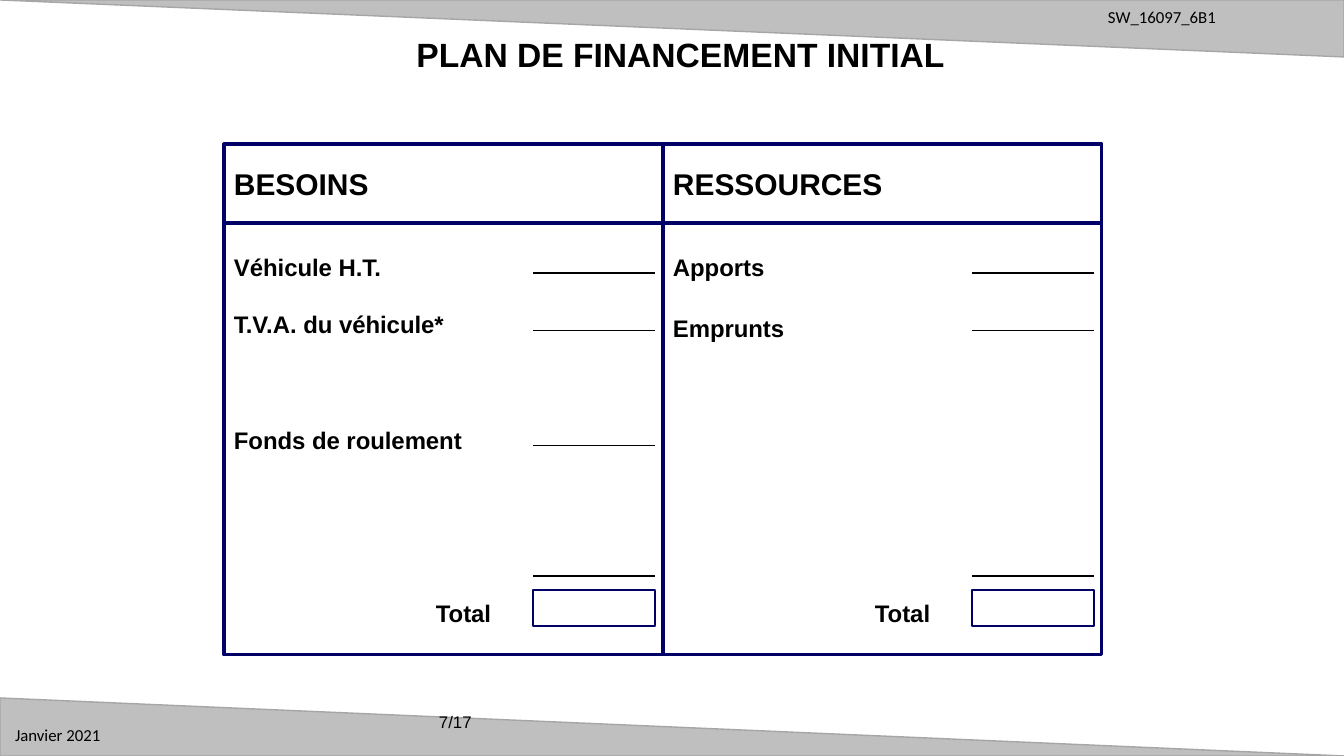
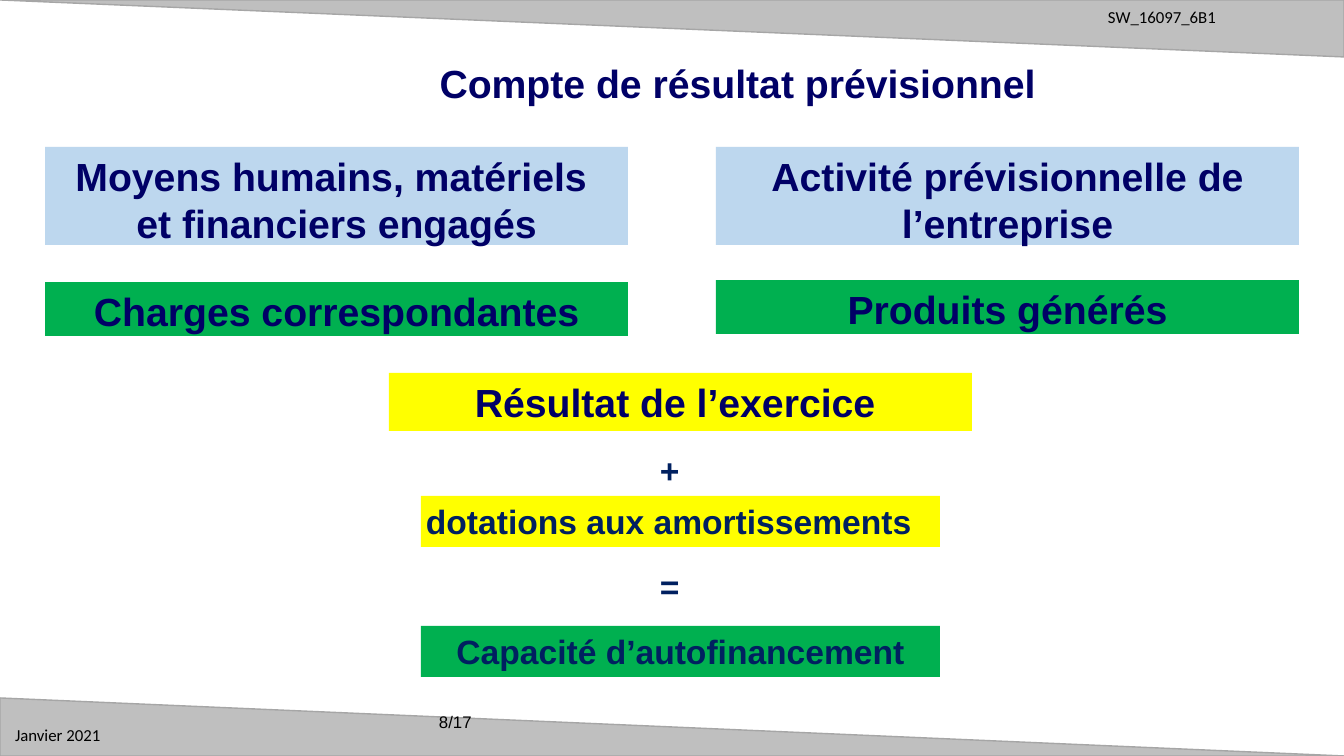
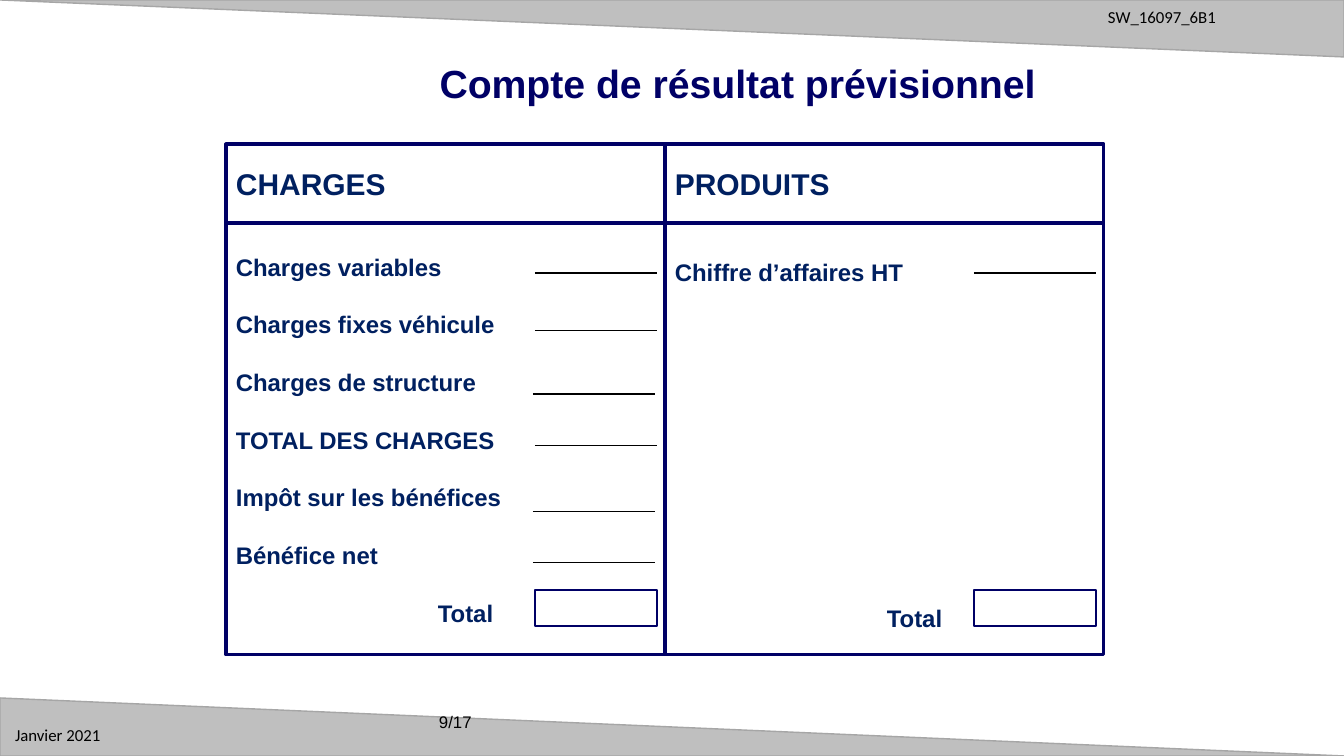
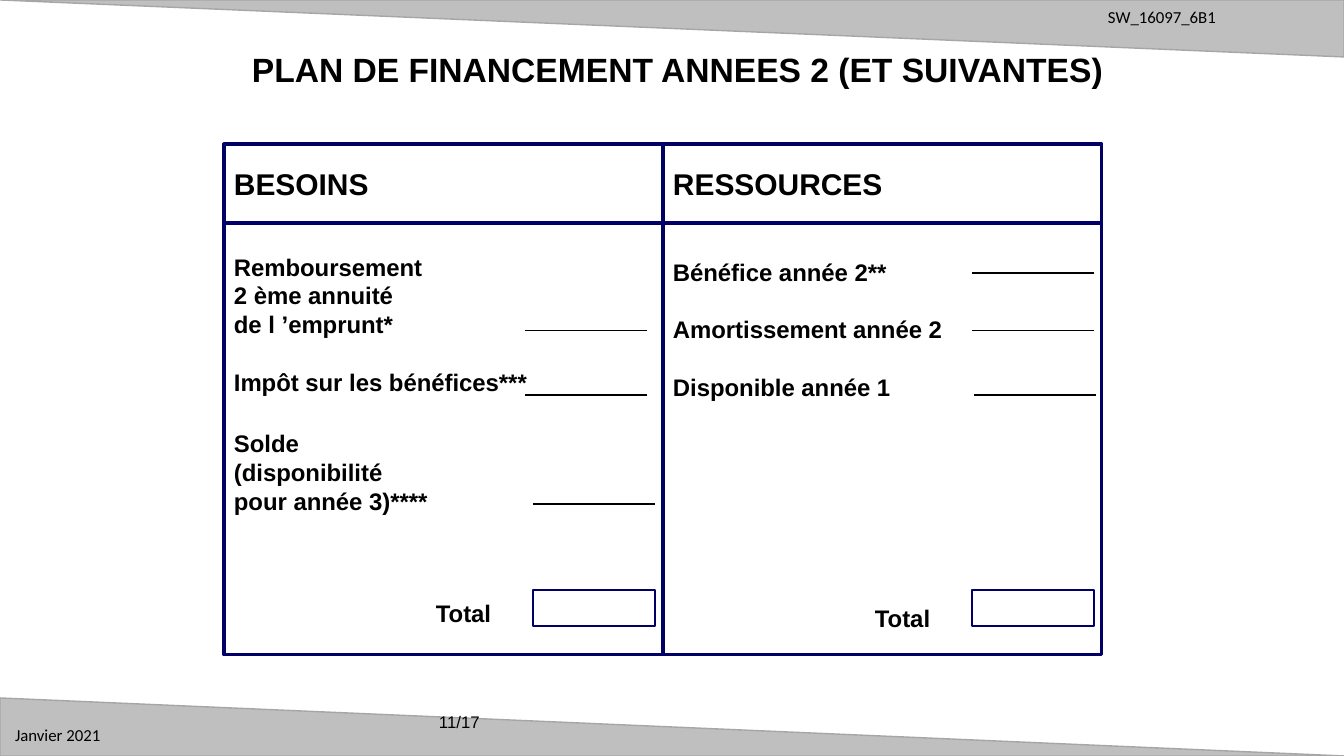
import pptx
import pptx.util
import pptx.dml.color
import pptx.enum.shapes
import pptx.enum.text
import pptx.oxml.ns
import lxml.etree

RGB = pptx.dml.color.RGBColor
Pt = pptx.util.Pt
ALIGN = pptx.enum.text.PP_ALIGN
ANCHOR = pptx.enum.text.MSO_ANCHOR
RECT = pptx.enum.shapes.MSO_SHAPE.RECTANGLE
STRAIGHT = pptx.enum.shapes.MSO_CONNECTOR.STRAIGHT

PX = 914400 / 100.8  # EMU in one px

BLACK = RGB(0x00, 0x00, 0x00)
WHITE = RGB(0xFF, 0xFF, 0xFF)
NAVY = RGB(0x00, 0x00, 0x66)
DEEP_BLUE = RGB(0x00, 0x20, 0x60)
PALE_BLUE = RGB(0xBD, 0xD7, 0xEE)
GREEN = RGB(0x00, 0xB0, 0x50)
YELLOW = RGB(0xFF, 0xFF, 0x00)
BAND = RGB(0xBF, 0xBF, 0xBF)
BAND_EDGE = RGB(0xA6, 0xA6, 0xA6)


def add_block(slide, box, fill=None, edge=None, edge_width=2.25):
    """Add a rectangle, or a text box if it has neither fill nor edge."""
    place = [round(v * PX) for v in box]
    if fill is None and edge is None:
        block = slide.shapes.add_textbox(*place)
    else:
        block = slide.shapes.add_shape(RECT, *place)
        block.shadow.inherit = False
        if fill is None:
            block.fill.background()
        else:
            block.fill.solid()
            block.fill.fore_color.rgb = fill
        if edge is None:
            block.line.fill.background()
        else:
            block.line.color.rgb = edge
            block.line.width = Pt(edge_width)
    return block


def write(block, lines, size, color, align=ALIGN.LEFT, anchor=ANCHOR.TOP,
          font="Arial", bold=True, inset=5, spacing=None):
    """Write one paragraph per line and return the paragraphs."""
    frame = block.text_frame
    frame.word_wrap = True
    frame.vertical_anchor = anchor
    frame.margin_left = frame.margin_right = round(inset * PX)
    frame.margin_top = frame.margin_bottom = round(5 * PX)
    for i, line in enumerate(lines):
        paragraph = frame.add_paragraph() if i else frame.paragraphs[0]
        paragraph.alignment = align
        if spacing:
            paragraph.line_spacing = spacing
        run = paragraph.add_run()
        run.text = line
        run.font.name = font
        run.font.size = Pt(size)
        run.font.bold = bold
        run.font.color.rgb = color
    return frame.paragraphs


# Titles: text, box, size, colour, anchor, line spacing
FORECAST_TITLE = ("Compte de résultat prévisionnel", (389, 54, 697, 53), 28, NAVY,
                  ANCHOR.TOP, Pt(33.6))

# Ledger columns: heading, top inset, entries (row, text), rules (x, y)
# Rows are counted from the first entry, rules from the column's left side.
pages = [
    {"number": 7,
     "title": ("PLAN DE FINANCEMENT INITIAL", (227, 24, 907, 65), 24, BLACK,
               ANCHOR.MIDDLE, 0.9),
     "left": 224, "ink": BLACK,
     "columns": [
         ("BESOINS", 29,
          [(0, "Véhicule H.T."), (2, "T.V.A. du véhicule*"), (6, "Fonds de roulement")],
          [(309, 273), (309, 331), (309, 446), (309, 576)]),
         ("RESSOURCES", 29,
          [(0, "Apports"), (2.14, "Emprunts")],
          [(309, 273), (309, 331), (309, 576)])]},
    {"number": 8, "title": FORECAST_TITLE, "columns": []},
    {"number": 9, "title": FORECAST_TITLE, "left": 226, "ink": DEEP_BLUE,
     "columns": [
         ("CHARGES", 29,
          [(0, "Charges variables"), (2, "Charges fixes véhicule"),
           (4, "Charges de structure"), (6, "TOTAL DES CHARGES"),
           (8, "Impôt sur les bénéfices"), (10, "Bénéfice net")],
          [(309, 273), (309, 331), (307, 394), (309, 446), (307, 512), (307, 563)]),
         ("PRODUITS", 34, [(0, "Chiffre d’affaires HT")], [(309, 273)])],
     "total_indents": [202, 212]},
    {"number": 11,
     "title": ("PLAN DE FINANCEMENT ANNEES 2 (ET SUIVANTES)", (224, 43, 907, 57), 24,
               BLACK, ANCHOR.MIDDLE, 0.9),
     "left": 224, "ink": BLACK,
     "columns": [
         ("BESOINS", 29,
          [(0, "Remboursement"), (1, "2 ème annuité"), (2, "de l ’emprunt*"),
           (4, "Impôt sur les bénéfices***"), (6.12, "Solde"),
           (7.12, "(disponibilité"), (8.12, "pour année 3)****")],
          [(301, 331), (301, 395), (309, 504)]),
         ("RESSOURCES", 34,
          [(0, "Bénéfice année 2**"), (2, "Amortissement année 2"),
           (4, "Disponible année 1")],
          [(309, 273), (309, 331), (311, 395)])]},
]

COLUMN_WIDTH = 439
HEAD_TOP, HEAD_HEIGHT = 144, 79
BODY_TOP, BODY_HEIGHT = 223, 432
AMOUNT_WIDTH = 122
TOTAL_ROW = 12
ROW_PITCH = Pt(20.6)

prs = pptx.Presentation()
prs.slide_width = round(1344 * PX)
prs.slide_height = round(756 * PX)

for page in pages:
    slide = prs.slides.add_slide(prs.slide_layouts[6])

    # Slanted bands
    for corners in ([(0, 0), (1344, 0), (1344, 57)], [(0, 756), (0, 698), (1344, 756)]):
        outline = slide.shapes.build_freeform(*corners[0], scale=PX)
        outline.add_line_segments(corners[1:], close=True)
        band = outline.convert_to_shape()
        band.shadow.inherit = False
        band.fill.solid()
        band.fill.fore_color.rgb = BAND
        band.line.color.rgb = BAND_EDGE
        band.line.width = Pt(1)

    # Reference, date and page number
    for text, box, font in [("SW_16097_6B1", (1103, 2, 231, 30), "Calibri"),
                            ("Janvier 2021", (10, 720, 129, 30), "Calibri"),
                            (f"{page['number']}/17", (434, 707, 100, 30), "Arial")]:
        write(add_block(slide, box), [text], 12, BLACK, font=font, bold=False)

    # Title
    text, box, size, color, anchor, spacing = page["title"]
    write(add_block(slide, box), [text], size, color, ALIGN.CENTER, anchor,
          spacing=spacing)

    # Ledger
    for side, (heading, top_inset, entries, rules) in enumerate(page["columns"]):
        left = page["left"] + side * COLUMN_WIDTH
        head = add_block(slide, (left, HEAD_TOP, COLUMN_WIDTH, HEAD_HEIGHT), WHITE, NAVY)
        write(head, [heading], 21.4, page["ink"], anchor=ANCHOR.MIDDLE, inset=10)

        body = add_block(slide, (left, BODY_TOP, COLUMN_WIDTH, BODY_HEIGHT), WHITE, NAVY)
        rows = entries + [(TOTAL_ROW, "Total")]
        paragraphs = write(body, [text for _, text in rows], 17.1, page["ink"],
                           inset=10, spacing=ROW_PITCH)
        body.text_frame.margin_top = round(top_inset * PX)
        for (above, _), (row, _), paragraph in zip(rows, rows[1:], paragraphs[1:]):
            paragraph.space_before = round((row - above - 1) * ROW_PITCH)
        indent = page.get("total_indents", [202, 202])[side]
        total_format = paragraphs[-1]._p.get_or_add_pPr()
        total_format.set("marL", str(round(indent * PX)))
        total_format.set("indent", "0")

        for x, y in rules:
            ends = [round(v * PX) for v in (left + x, y, left + x + AMOUNT_WIDTH, y)]
            rule = slide.shapes.add_connector(STRAIGHT, *ends)
            rule.line.color.rgb = BLACK
            rule.line.width = Pt(0.75)
            lxml.etree.SubElement(rule._element.spPr, pptx.oxml.ns.qn("a:effectLst"))
        add_block(slide, (left + 309, 590, AMOUNT_WIDTH, 36), edge=NAVY, edge_width=1.5)

# Forecast diagram: from means and activity to self-financing capacity
forecast = prs.slides[1]
for lines, box, fill, size, color, align in [
    (["Moyens humains, matériels ", "et financiers engagés"],
     (45, 147, 583, 98), PALE_BLUE, 28, NAVY, ALIGN.CENTER),
    (["Activité prévisionnelle de l’entreprise"],
     (716, 147, 583, 98), PALE_BLUE, 28, NAVY, ALIGN.CENTER),
    (["Charges correspondantes"], (45, 282, 583, 54), GREEN, 28, NAVY, ALIGN.CENTER),
    (["Produits générés"], (716, 280, 583, 54), GREEN, 28, NAVY, ALIGN.CENTER),
    (["Résultat de l’exercice "], (389, 373, 583, 58), YELLOW, 28, NAVY, ALIGN.CENTER),
    (["+"], (655, 445, 165, 50), None, 24, DEEP_BLUE, ALIGN.LEFT),
    (["dotations aux amortissements"],
     (421, 496, 519, 51), YELLOW, 24, DEEP_BLUE, ALIGN.LEFT),
    (["="], (655, 561, 165, 50), None, 24, DEEP_BLUE, ALIGN.LEFT),
    (["Capacité d’autofinancement"],
     (421, 626, 519, 51), GREEN, 24, DEEP_BLUE, ALIGN.CENTER),
]:
    write(add_block(forecast, box, fill), lines, size, color, align,
          spacing=Pt(1.2 * size))

prs.save("out.pptx")
